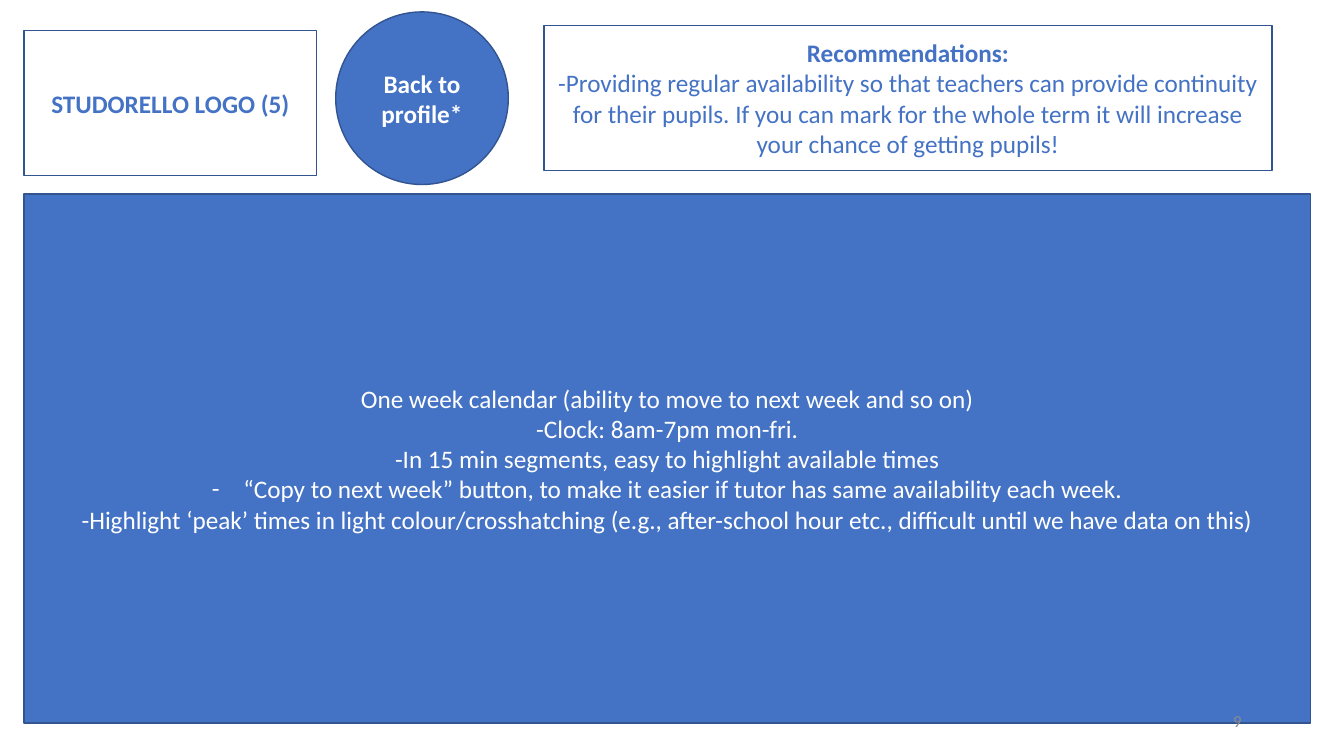
from dataclasses import dataclass

from lxml import etree
from pptx import Presentation
from pptx.dml.color import RGBColor
from pptx.enum.shapes import MSO_SHAPE
from pptx.enum.text import MSO_ANCHOR, PP_ALIGN
from pptx.oxml.ns import qn
from pptx.util import Pt

RECT, OVAL = MSO_SHAPE.RECTANGLE, MSO_SHAPE.OVAL
MIDDLE = MSO_ANCHOR.MIDDLE
CENTER, RIGHT = PP_ALIGN.CENTER, PP_ALIGN.RIGHT


@dataclass(frozen=True)
class Theme:
    font: str = "Calibri"
    blue: str = "4472C4"
    outline: str = "325491"
    white: str = "FFFFFF"
    grey: str = "8C8C8C"
    body: float = 18
    small: float = 12
    line: float = 1
    indent: float = 22.5


class Board:
    """Draws the elements of one slide in a single style."""

    def __init__(self, slide, theme):
        self.s = slide
        self.t = theme

    def add_text(self, tf, paragraphs, size, color, align):
        tf.word_wrap = True
        tf.vertical_anchor = MIDDLE
        for i, (text, bold, bullet) in enumerate(paragraphs):
            p = tf.add_paragraph() if i else tf.paragraphs[0]
            p.alignment = align
            if bullet:
                self.bullet(p, bullet)
            r = p.add_run()
            r.text = text
            r.font.name = self.t.font
            r.font.size = Pt(size)
            r.font.bold = bold
            r.font.color.rgb = RGBColor.from_string(color)

    def bullet(self, p, char):
        pPr = p._p.get_or_add_pPr()
        pPr.set("marL", str(Pt(self.t.indent)))
        pPr.set("indent", str(-Pt(self.t.indent)))
        etree.SubElement(pPr, qn("a:buFont")).set("typeface", self.t.font)
        etree.SubElement(pPr, qn("a:buChar")).set("char", char)

    def panel(self, kind, box, fill, color, paragraphs):
        sp = self.s.shapes.add_shape(kind, *map(Pt, box))
        sp.shadow.inherit = False
        sp.fill.solid()
        sp.fill.fore_color.rgb = RGBColor.from_string(fill)
        sp.line.color.rgb = RGBColor.from_string(self.t.outline)
        sp.line.width = Pt(self.t.line)
        self.add_text(sp.text_frame, paragraphs, self.t.body, color, CENTER)

    def page_number(self, box, number):
        sp = self.s.shapes.add_textbox(*map(Pt, box))
        self.add_text(sp.text_frame, [(number, False, None)],
                      self.t.small, self.t.grey, RIGHT)


def main():
    prs = Presentation()
    prs.slide_width, prs.slide_height = Pt(960), Pt(540)
    t = Theme()
    board = Board(prs.slides.add_slide(prs.slide_layouts[6]), t)

    board.panel(RECT, (17.3, 138.5, 918.7, 378), t.blue, t.white, [
        ("One week calendar (ability to move to next week and so on)", False, None),
        ("-Clock: 8am-7pm mon-fri.", False, None),
        ("-In 15 min segments, easy to highlight available times", False, None),
        ("“Copy to next week” button, to make it easier if tutor has "
         "same availability each week.", False, "-"),
        ("-Highlight ‘peak’ times in light colour/crosshatching (e.g., after-school "
         "hour etc., difficult until we have data on this)", False, None),
    ])
    board.panel(OVAL, (239.8, 8.5, 123.3, 123.3), t.blue, t.white,
                [("Back to profile*", True, None)])
    board.page_number((678, 500.5, 216, 28.8), "9")
    board.panel(RECT, (17.3, 21.7, 208.8, 103.7), t.white, t.blue,
                [("STUDORELLO LOGO (5)", True, None)])
    board.panel(RECT, (388.6, 18.2, 520, 103.7), t.white, t.blue, [
        ("Recommendations:", True, None),
        ("-Providing regular availability so that teachers can provide continuity "
         "for their pupils. If you can mark for the whole term it will increase "
         "your chance of getting pupils!", False, None),
    ])
    prs.save("out.pptx")


if __name__ == "__main__":
    main()
